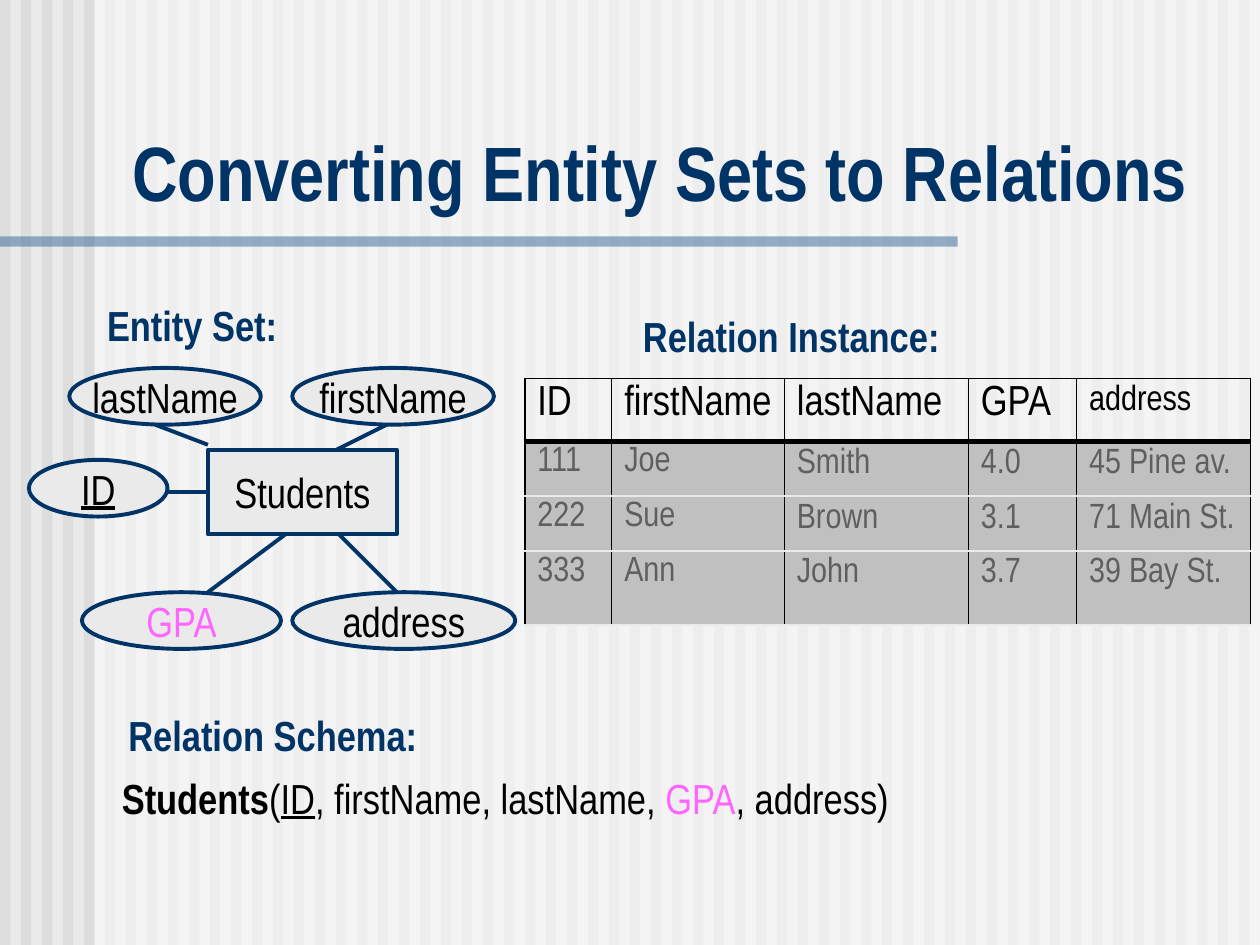
from lxml import etree
from pptx import Presentation
from pptx.dml.color import RGBColor
from pptx.enum import shapes, text
from pptx.oxml.ns import qn
from pptx.util import Pt

FONT = "Arial Narrow"
COLORS = {
    "paper": "EAEAEA", "stripe": "DDDDDD", "veil": "FFFFFF", "rule": "336699",
    "navy": "003366", "ink": "000000", "pink": "FF66FF",
    "cell": "C0C0C0", "value": "5F5F5F",
}
COLS, ROWS = 100, 75  # slide grid of square units
RECT, OVAL = shapes.MSO_SHAPE.RECTANGLE, shapes.MSO_SHAPE.OVAL

prs = Presentation()
prs.slide_width, prs.slide_height = 9144000, 6858000
UNIT = prs.slide_width // COLS


def rgb(name):
    return RGBColor.from_string(COLORS[name])


def place(box, x, y, w, h):
    """Grid lengths relative to a box, as slide lengths."""
    return [round(n * UNIT) for n in (box[0] + x, box[1] + y, w, h)]


def style(font, size, color, bold=False, underline=False):
    font.name, font.size, font.bold = FONT, Pt(size), bold
    font.underline = underline
    font.color.rgb = rgb(color)


def add_block(s, at, fill, kind=RECT, line=None, alpha=None):
    sp = s.shapes.add_shape(kind, *at)
    sp.shadow.inherit = False
    sp.fill.solid()
    sp.fill.fore_color.rgb = rgb(fill)
    if alpha:
        clr = sp.fill._xPr.find(".//" + qn("a:srgbClr"))
        etree.SubElement(clr, qn("a:alpha"), val=str(alpha * 1000))
    if line:
        sp.line.color.rgb = rgb(line)
        sp.line.width = Pt(2.25)
    else:
        sp.line.fill.background()
    return sp


def add_text(s, at, words, size=24, align=text.PP_ALIGN.CENTER, wrap=False):
    tf = s.shapes.add_textbox(*at).text_frame
    tf.word_wrap = wrap
    if not wrap:
        tf.auto_size = text.MSO_AUTO_SIZE.SHAPE_TO_FIT_TEXT
    p = tf.paragraphs[0]
    p.alignment = align
    p.text = words
    style(p.font, size, "navy", bold=True)
    return tf


def backdrop(s, box):
    s.background.fill.solid()
    s.background.fill.fore_color.rgb = rgb("paper")
    # Stripes fill half of each of 60 equal columns
    pitch = box[2] / 60
    for i in range(60):
        add_block(s, place(box, i * pitch, 0, pitch / 2, box[3]), "stripe")
    # Pale veil and title rule
    add_block(s, place(box, 7.5, 0, box[2] - 7.5, box[3]), "veil", alpha=50)
    add_block(s, place(box, 0, 18.75, 76, 0.83), "rule", alpha=50)


def title(s, box):
    tf = add_text(s, place(box, 0, 0, *box[2:]), "Converting Entity Sets to Relations",
                  44, text.PP_ALIGN.LEFT, wrap=True)
    tf.vertical_anchor = text.MSO_ANCHOR.BOTTOM


def entity_diagram(s, box):
    add_text(s, place(box, 5.2, 0, 15.5, 5), "Entity Set:")

    def node(words, x, y, w, h, kind=OVAL, color="ink", underline=False):
        sp = add_block(s, place(box, x, y, w, h), "paper", kind, "navy")
        tf = sp.text_frame
        tf.word_wrap = False
        tf.vertical_anchor = text.MSO_ANCHOR.MIDDLE
        p = tf.paragraphs[0]
        p.text, p.alignment = words, text.PP_ALIGN.CENTER
        style(p.font, 24, color, underline=underline)
        return sp

    def link(x1, y1, x2, y2):
        ends = place(box, x1, y1, 0, 0)[:2] + place(box, x2, y2, 0, 0)[:2]
        line = s.shapes.add_connector(shapes.MSO_CONNECTOR.STRAIGHT, *ends)
        line.line.color.rgb = rgb("navy")
        line.line.width = Pt(2.25)
        etree.SubElement(line._element.spPr, qn("a:effectLst"))
        return line

    # Attributes
    top, bottom, h = 5.9, 23.7, 4.5
    node("lastName", 3.2, top, 15.2, h)
    node("firstName", 20.9, top, 16, h)
    node("ID", 0, 13.2, 11, h, underline=True)
    node("GPA", 4.2, bottom, 15.8, h, color="pink")
    node("address", 20.9, bottom, 17.7, h)

    # Links run under the entity
    link(10, top + h, 14.2, 12)
    link(28.4, top + h, 23.4, 12.9)
    link(14.2, bottom, 20.9, 18.7)
    link(29.2, bottom, 24.2, 18.7)
    id_link = link(10.9, 15.75, 14.2, 15.75)
    entity = node("Students", 14.2, 12.4, 15, 6.7, kind=RECT)
    id_link.end_connect(entity, 1)


def set_border(cell, side, color, width):
    ln = etree.SubElement(cell._tc.get_or_add_tcPr(), qn("a:ln" + side),
                          w=str(Pt(width)))
    fill = etree.SubElement(ln, qn("a:solidFill"))
    etree.SubElement(fill, qn("a:srgbClr"), val=COLORS[color])


def relation_instance(s, box):
    add_text(s, place(box, 7.9, 0, 26.5, 5), "Relation Instance:")
    data = [
        ["ID", "firstName", "lastName", "GPA", "address"],
        ["111", "Joe", "Smith", "4.0", "45 Pine av."],
        ["222", "Sue", "Brown", "3.1", "71 Main St."],
        ["333", "Ann", "John", "3.7", "39 Bay St."],
    ]
    widths, heights = [6.9, 13.7, 14.6, 8.6, 13.8], [5, 4.3, 4.3, 5.9]
    last = len(widths) - 1
    table = s.shapes.add_table(len(heights), len(widths), *place(
        box, 0, 5.9, sum(widths), sum(heights))).table
    table.first_row = table.horz_banding = False
    for col, w in zip(table.columns, widths):
        col.width = round(w * UNIT)
    for row, h in zip(table.rows, heights):
        row.height = round(h * UNIT)

    for r, values in enumerate(data):
        for c, value in enumerate(values):
            cell = table.cell(r, c)
            # Heavy frame, thin columns, thick line under the header
            set_border(cell, "L", "ink", 1.08 if c == 0 else 0.45)
            set_border(cell, "R", "ink", 1.08 if c == last else 0.45)
            rules = [("ink", 1.08), ("ink", 3)] + [("paper", 1.47)] * 3
            set_border(cell, "T", *rules[r])
            set_border(cell, "B", *rules[r + 1])
            if r:
                cell.fill.solid()
                cell.fill.fore_color.rgb = rgb("cell")
            else:
                cell.fill.background()
            size = 24 if r == 0 and c < last else 20
            p = cell.text_frame.paragraphs[0]
            p.text = value
            p.space_before = Pt(size / 4)
            if r and c < 2:
                p.line_spacing = 0.9
            style(p.font, size, "value" if r else "ink")


def relation_schema(s, box):
    add_text(s, place(box, 1.5, 0, 24.9, 5), "Relation Schema:")
    tf = add_text(s, place(box, 0, 5, box[2], 5), "", wrap=True)
    parts = [
        ("Students", "ink", True, False), ("(", "ink", False, False),
        ("ID", "ink", False, True),
        (", firstName, lastName, ", "ink", False, False),
        ("GPA", "pink", False, False), (", address)", "ink", False, False),
    ]
    for words, color, bold, underline in parts:
        r = tf.paragraphs[0].add_run()
        r.text = words
        style(r.font, 24, color, bold, underline)


def main():
    s = prs.slides.add_slide(prs.slide_layouts[6])
    # Boxes are left, top, width, height in grid units
    backdrop(s, (0, 0, COLS, ROWS))
    title(s, (9.5, 9.4, 89.3, 8.3))
    relation_instance(s, (41.65, 24.15, 57.6, 25.4))
    entity_diagram(s, (2.3, 23.3, 38.6, 28.2))
    relation_schema(s, (7.7, 55.8, 64.8, 10))
    prs.save("out.pptx")


if __name__ == "__main__":
    main()
